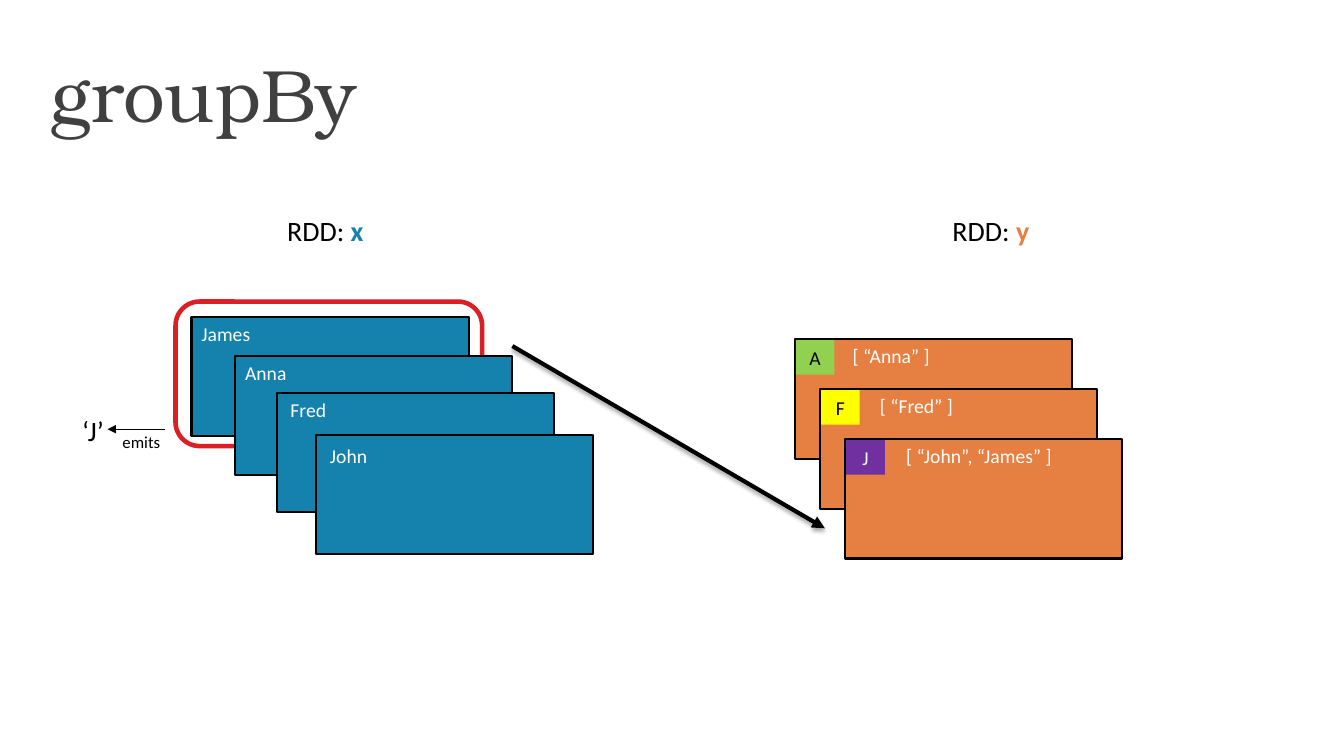
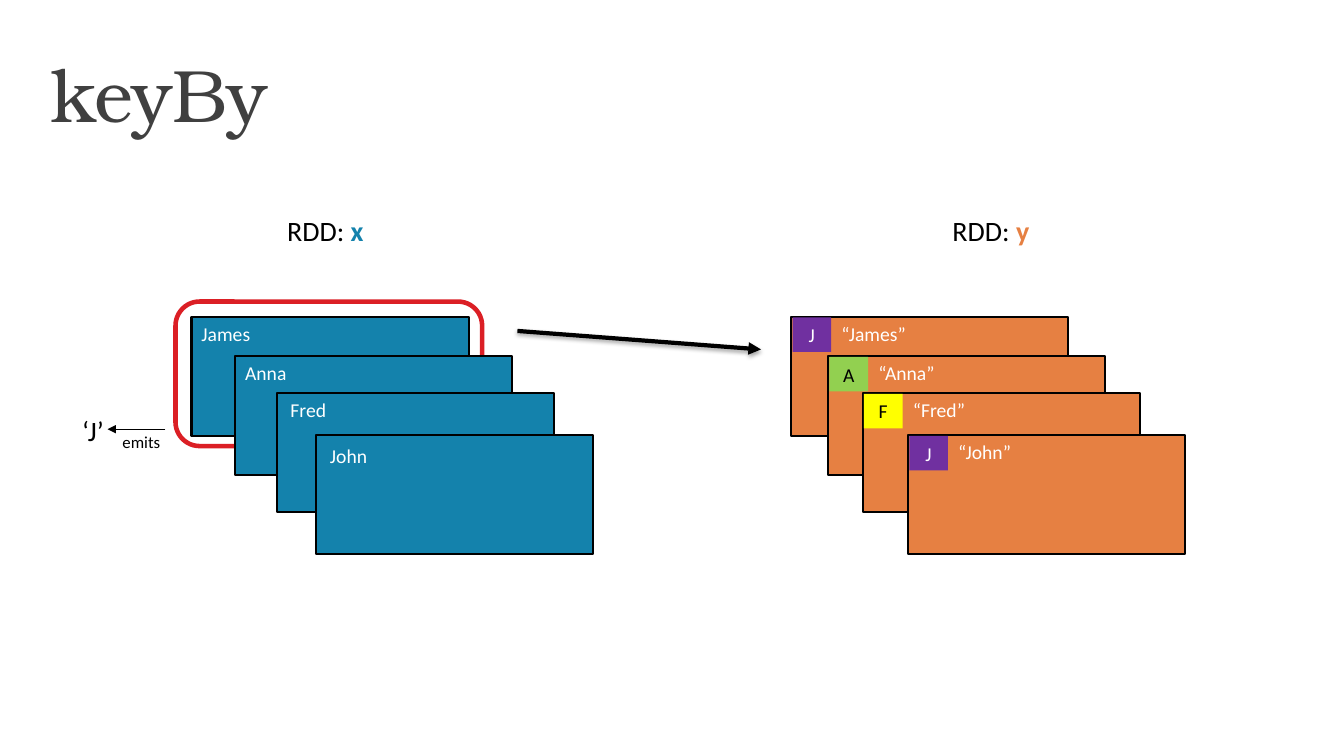
"""Two slides on Spark key functions: groupBy and keyBy."""
from lxml.etree import SubElement
from pptx import Presentation
from pptx.dml.color import RGBColor as RGB
from pptx.enum.shapes import MSO_CONNECTOR as CONN, MSO_SHAPE as SHAPE
from pptx.enum.text import MSO_ANCHOR as ANCHOR, PP_ALIGN as ALIGN
from pptx.oxml.ns import qn
from pptx.util import Pt

C = dict(black="000000", white="FFFFFF", title="404040", red="DB1F25",
         x="1482AC", y="E68042", green="92D050", yellow="FFFF00", purple="7030A0")
COLS, ROWS = 160, 90
CELL = 76200
CARD = 33, 14.2
KEY = 4.6, 4.1
KEYS = {"A": ("green", "black"), "F": ("yellow", "black"), "J": ("purple", "white")}
NAMES = [("James", 22.8, 37.7, 0, 0), ("Anna", 28, 42.4, 0, 0),
         ("Fred", 33, 46.8, 0.4, 0), ("John", 37.6, 51.8, 0.5, 0.5)]
SLIDES = [
    dict(title="groupBy", arrow=(61, 41.2, 98.2, 62.9), al=ALIGN.CENTER, gap=4.5,
         cards=[("A", "[ “Anna” ]", 94.6, 40.4, 14), ("F", "[ “Fred” ]", 97.6, 46.35, 14),
                ("J", "[ “John”, “James” ]", 100.6, 52.3, 22.9)]),
    dict(title="keyBy", arrow=(61.6, 39.4, 90.6, 41.6), al=ALIGN.LEFT, gap=4.8,
         cards=[("J", "“James”", 94.2, 37.7, 23), ("A", "“Anna”", 98.6, 42.4, 14),
                ("F", "“Fred”", 102.7, 46.8, 14), ("J", "“John”", 108.1, 51.8, 23)]),
]


def box(s, x, y, w, h, runs=(), size=14, font="Calibri", al=ALIGN.LEFT,
        shape=None, fill=None, line=None, width=1.5):
    """Add a text box or preset shape, placed in grid cells."""
    at = [round(v * CELL) for v in (x, y, w, h)]
    if shape is None:
        sp = s.shapes.add_textbox(*at)
    else:
        sp = s.shapes.add_shape(shape, *at)
        sp.shadow.inherit = False
        if fill:
            sp.fill.solid()
            sp.fill.fore_color.rgb = RGB.from_string(C[fill])
        else:
            sp.fill.background()
        if line:
            sp.line.color.rgb = RGB.from_string(C[line])
            sp.line.width = Pt(width)
        else:
            sp.line.fill.background()
    tf = sp.text_frame
    tf.word_wrap = True
    p = tf.paragraphs[0]
    p.alignment = al
    for text, color, bold in runs:
        r = p.add_run()
        r.text = text
        r.font.name, r.font.size, r.font.bold = font, Pt(size), bold
        r.font.color.rgb = RGB.from_string(C[color])
    return sp


def arrow(s, ends, width, shadow=False):
    """Add a black arrow between two grid points."""
    ln = s.shapes.add_connector(CONN.STRAIGHT, *[round(v * CELL) for v in ends])
    ln.line.color.rgb = RGB.from_string(C["black"])
    ln.line.width = Pt(width)
    SubElement(ln.line._get_or_add_ln(), qn("a:tailEnd"), type="triangle")
    effects = SubElement(ln._element.spPr, qn("a:effectLst"))
    if shadow:
        sh = SubElement(effects, qn("a:outerShdw"), blurRad="40000", dist="23000",
                        dir="5400000", rotWithShape="0")
        clr = SubElement(sh, qn("a:srgbClr"), val=C["black"])
        SubElement(clr, qn("a:alpha"), val="35000")


prs = Presentation()
prs.slide_width, prs.slide_height = COLS * CELL, ROWS * CELL

for d in SLIDES:
    s = prs.slides.add_slide(prs.slide_layouts[6])
    title = box(s, 4.4, 3.6, 149.8, 15, [(d["title"], "title", False)], 53, "TeX Gyre Bonum")
    tf = title.text_frame
    tf.vertical_anchor = ANCHOR.MIDDLE
    tf.margin_left = tf.margin_right = round(1.6 * CELL)
    tf.margin_top = tf.margin_bottom = round(0.8 * CELL)

    for name, left in (("x", 33), ("y", 112.2)):
        box(s, left, 24.8, 18.6, 5.3, [("RDD: ", "black", False), (name, name, True)], 20)

    box(s, 20.9, 35.9, 36.5, 17.2, shape=SHAPE.ROUNDED_RECTANGLE, line="red", width=3.25)
    for name, x, y, dx, dy in NAMES:
        box(s, x, y, *CARD, shape=SHAPE.RECTANGLE, fill="x", line="black")
        box(s, x + dx, y + dy, 10.8, 4.1, [(name, "white", False)])

    box(s, 13.4, 50.8, 8, 3.6, [("emits", "black", False)], 12)
    arrow(s, (19.7, 51.1, 12.8, 51.1), 1)
    box(s, 8.6, 48.6, 8, 5.3, [("‘J’", "black", False)], 20)

    for key, value, x, y, w in d["cards"]:
        fill, color = KEYS[key]
        box(s, x, y, *CARD, shape=SHAPE.RECTANGLE, fill="y", line="black")
        box(s, x + d["gap"], y, w, 4.1, [(value, "white", False)], al=d["al"])
        box(s, x + 0.15, y + 0.1, *KEY, [(key, color, False)], al=ALIGN.CENTER,
            shape=SHAPE.RECTANGLE, fill=fill)
    arrow(s, d["arrow"], 3, shadow=True)

prs.save("out.pptx")
